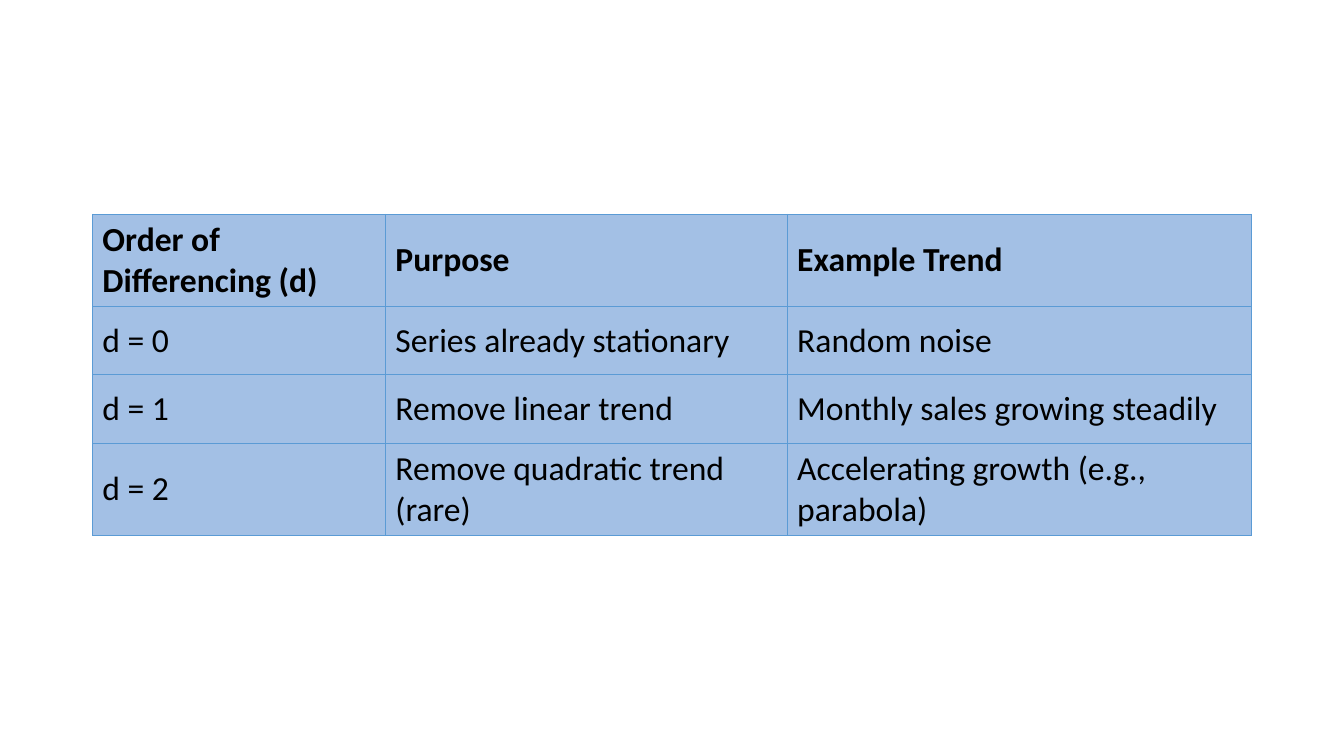
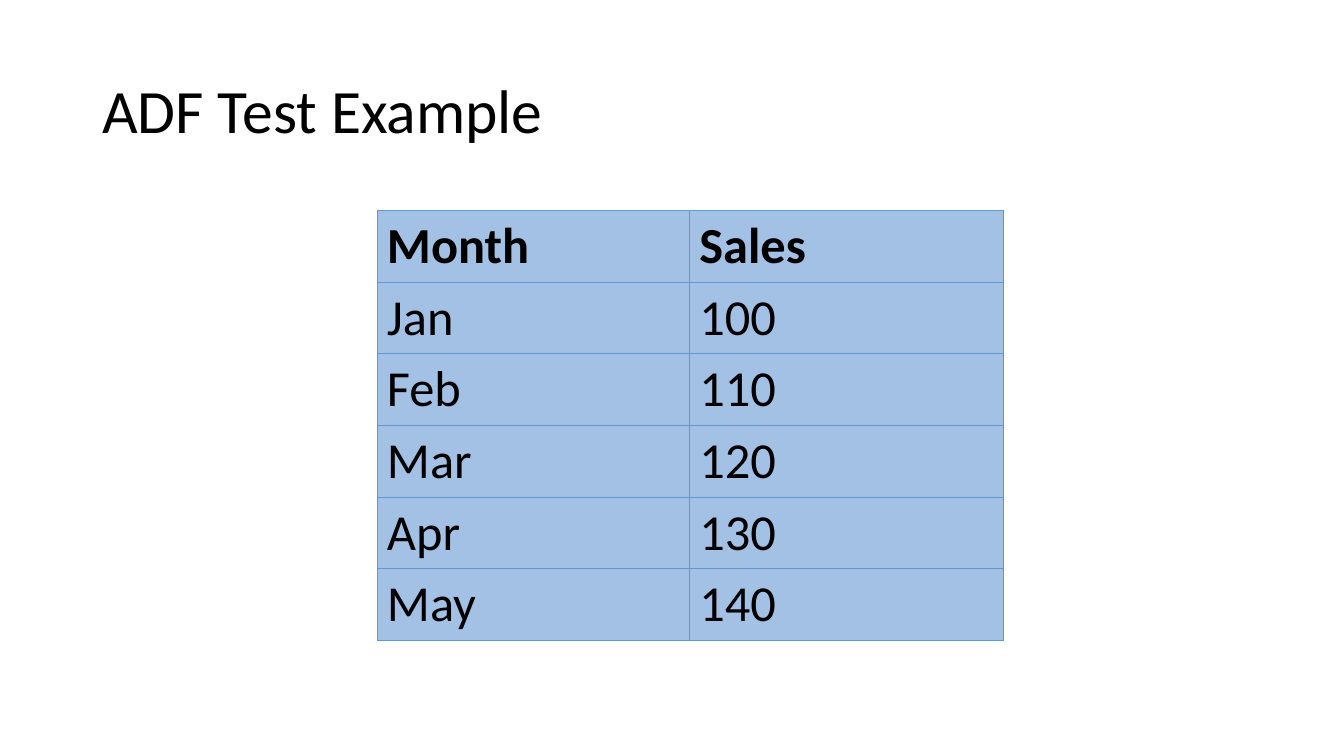
import dataclasses

import lxml.etree
import pptx
import pptx.dml.color
import pptx.enum.text
import pptx.oxml.ns
import pptx.slide
import pptx.text.text
import pptx.util


# Shared look
@dataclasses.dataclass(frozen=True)
class Theme:
    font: str = "Calibri"
    text: str = "000000"
    cell_fill: str = "A3C0E5"
    border: str = "5B9BD5"
    border_width: float = 0.5
    title_size: float = 44
    title_spacing: float = 0.9
    title_area: tuple[float, ...] = (66, 28.75, 828, 104.4)


@dataclasses.dataclass(frozen=True)
class TableContent:
    left: float
    top: float
    column_widths: tuple[float, ...]
    row_heights: tuple[float, ...]
    text_size: float
    rows: tuple[tuple[str, ...], ...]


THEME = Theme()
SLIDE_WIDTH, SLIDE_HEIGHT = 960, 540
BLANK_LAYOUT = 6

# Table contents, with the header row first
DIFFERENCING = TableContent(
    left=66,
    top=153,
    column_widths=(209.3, 287, 331.7),
    row_heights=(66, 48.7, 48.7, 66),
    text_size=24,
    rows=(
        ("Order of Differencing (d)", "Purpose", "Example Trend"),
        ("d = 0", "Series already stationary", "Random noise"),
        ("d = 1", "Remove linear trend", "Monthly sales growing steadily"),
        ("d = 2", "Remove quadratic trend (rare)", "Accelerating growth (e.g., parabola)"),
    ),
)
SALES = TableContent(
    left=269.2,
    top=150.2,
    column_widths=(223.2, 224.3),
    row_heights=(51.2,) * 6,
    text_size=36,
    rows=(
        ("Month", "Sales"),
        ("Jan", "100"),
        ("Feb", "110"),
        ("Mar", "120"),
        ("Apr", "130"),
        ("May", "140"),
    ),
)


def color(code: str) -> pptx.dml.color.RGBColor:
    return pptx.dml.color.RGBColor.from_string(code)


def add_span(para: pptx.text.text._Paragraph, text: str, size: float, bold: bool = False) -> None:
    span = para.add_run()
    span.text = text
    span.font.name = THEME.font
    span.font.size = pptx.util.Pt(size)
    span.font.bold = bold
    span.font.color.rgb = color(THEME.text)


def add_title(page: pptx.slide.Slide, text: str) -> None:
    box = page.shapes.add_textbox(*(pptx.util.Pt(length) for length in THEME.title_area))
    frame = box.text_frame
    frame.word_wrap = True
    frame.vertical_anchor = pptx.enum.text.MSO_ANCHOR.MIDDLE
    para = frame.paragraphs[0]
    para.line_spacing = THEME.title_spacing
    add_span(para, text, THEME.title_size)


def add_borders(cell) -> None:
    """Outline a cell; the lines must come before its fill in the XML."""
    qualified = pptx.oxml.ns.qn
    properties = cell._tc.get_or_add_tcPr()
    for index, side in enumerate(("a:lnL", "a:lnR", "a:lnT", "a:lnB")):
        line = lxml.etree.Element(qualified(side), w=str(pptx.util.Pt(THEME.border_width)))
        fill = lxml.etree.SubElement(line, qualified("a:solidFill"))
        lxml.etree.SubElement(fill, qualified("a:srgbClr"), val=THEME.border)
        properties.insert(index, line)


def add_table(page: pptx.slide.Slide, content: TableContent) -> None:
    frame = page.shapes.add_table(
        len(content.rows),
        len(content.column_widths),
        pptx.util.Pt(content.left),
        pptx.util.Pt(content.top),
        pptx.util.Pt(sum(content.column_widths)),
        pptx.util.Pt(sum(content.row_heights)),
    )
    table = frame.table
    table.horz_banding = False
    for column, width in zip(table.columns, content.column_widths):
        column.width = pptx.util.Pt(width)
    for row, height in zip(table.rows, content.row_heights):
        row.height = pptx.util.Pt(height)
    for row_index, texts in enumerate(content.rows):
        for column_index, text in enumerate(texts):
            cell = table.cell(row_index, column_index)
            cell.vertical_anchor = pptx.enum.text.MSO_ANCHOR.MIDDLE
            cell.fill.solid()
            cell.fill.fore_color.rgb = color(THEME.cell_fill)
            add_borders(cell)
            para = cell.text_frame.paragraphs[0]
            add_span(para, text, content.text_size, bold=row_index == 0)


def main() -> None:
    deck = pptx.Presentation()
    deck.slide_width = pptx.util.Pt(SLIDE_WIDTH)
    deck.slide_height = pptx.util.Pt(SLIDE_HEIGHT)
    blank = deck.slide_layouts[BLANK_LAYOUT]

    # Orders of differencing
    page = deck.slides.add_slide(blank)
    add_table(page, DIFFERENCING)

    # Sales figures for the ADF test
    page = deck.slides.add_slide(blank)
    add_title(page, "ADF Test Example")
    add_table(page, SALES)

    deck.save("out.pptx")


if __name__ == "__main__":
    main()
